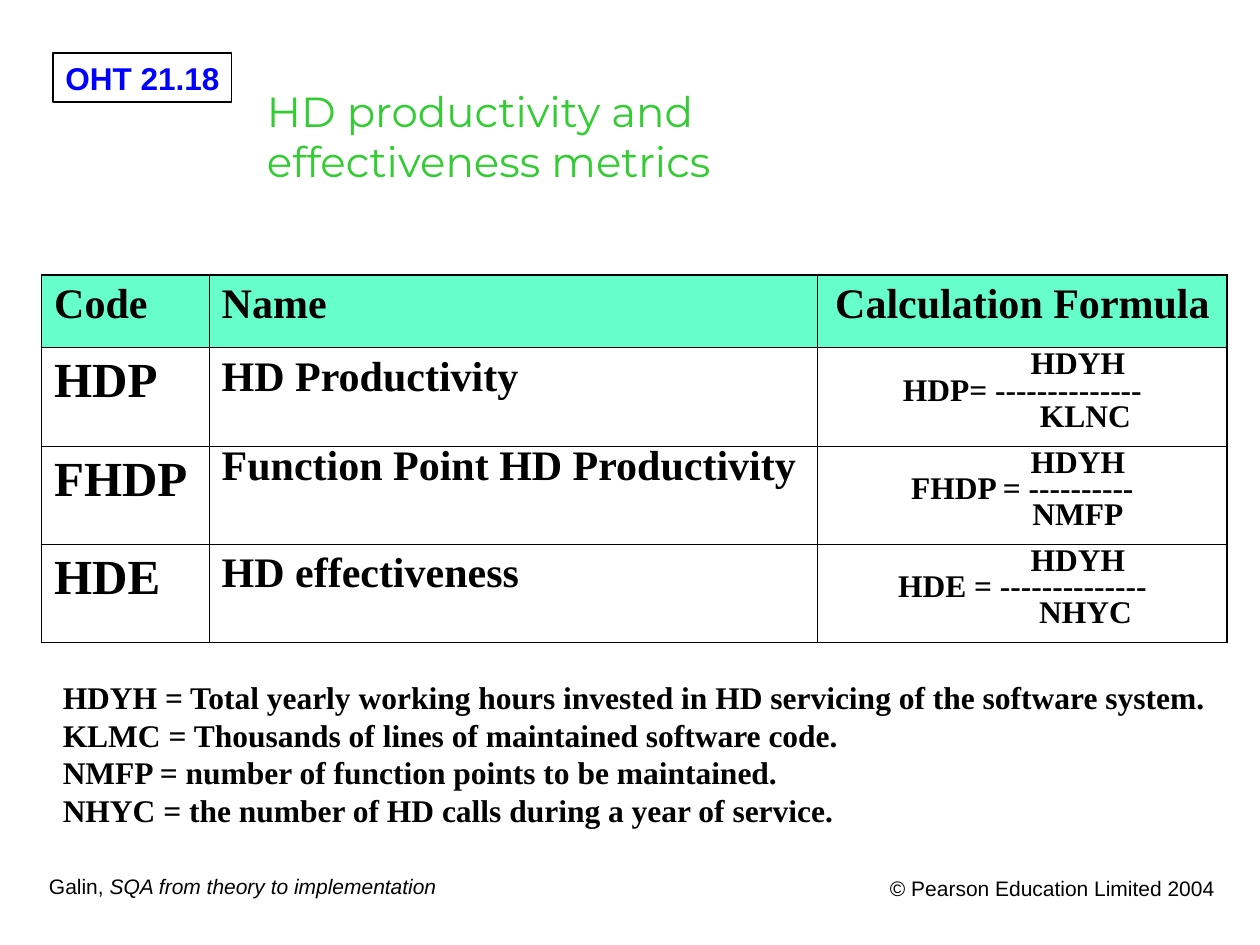
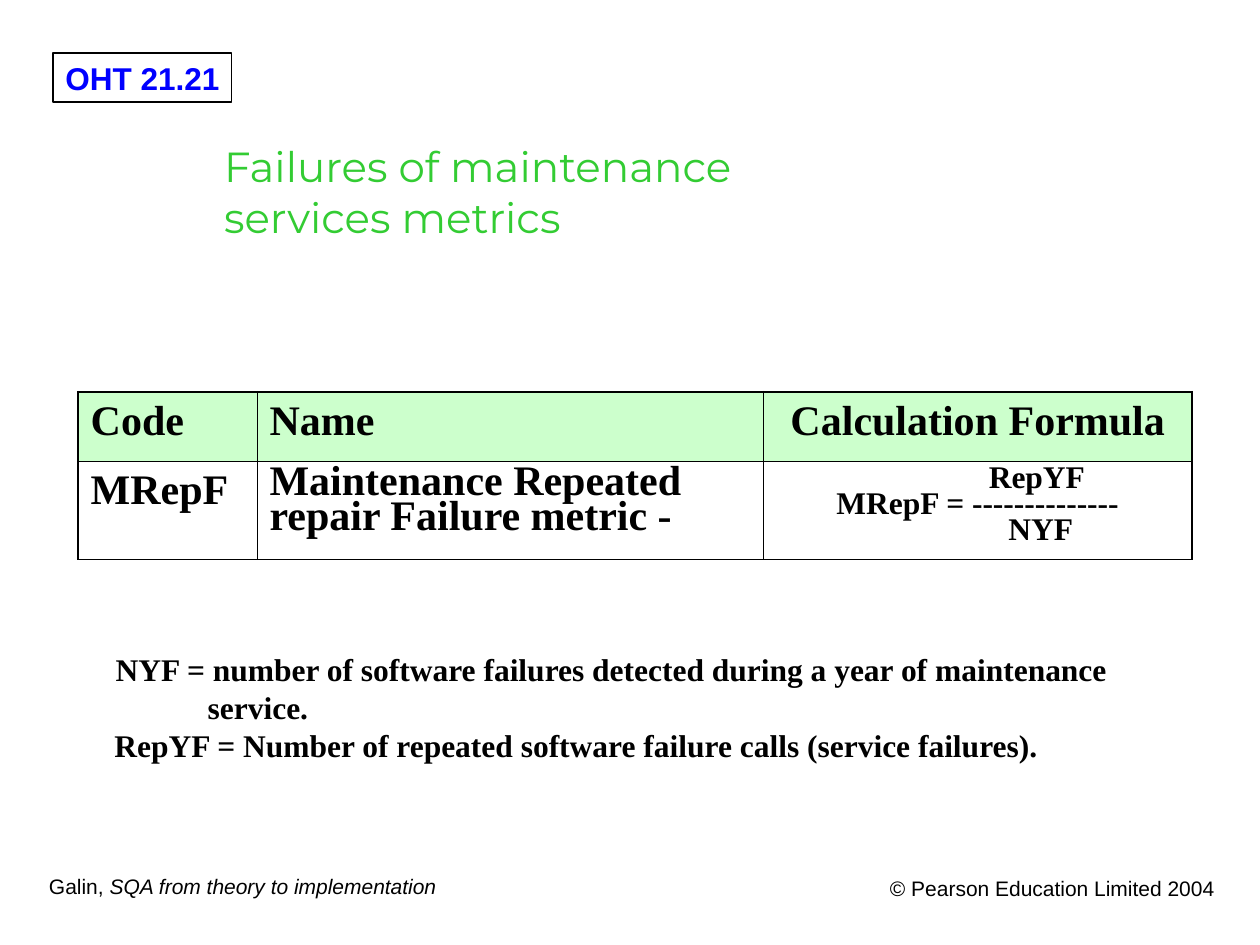
from dataclasses import dataclass

from lxml.etree import SubElement
from pptx import Presentation
from pptx.dml.color import RGBColor as Color
from pptx.enum.shapes import MSO_SHAPE as Shape
from pptx.enum.text import MSO_AUTO_SIZE as AutoSize, MSO_ANCHOR as Anchor, PP_ALIGN as Align
from pptx.oxml.ns import qn
from pptx.util import Inches, Pt


@dataclass(frozen=True)
class Theme:
    ink: str = "000000"
    title: str = "33CC33"
    label: str = "0000FF"
    sans: str = "Arial"
    serif: str = "Times New Roman"
    display: str = "Montserrat"
    heading: int = 24
    code: int = 28
    body: int = 18
    footer: int = 12
    outer_rule: float = 1.08
    inner_rule: float = 0.45
    tight: float = 0.75


THEME = Theme()
HEADINGS = ["Code", "Name", "Calculation Formula"]


def style(para, family, size, color=THEME.ink, bold=False, align=Align.LEFT):
    para.alignment = align
    para.font.name = family
    para.font.size = Pt(size)
    para.font.bold = bold
    para.font.color.rgb = Color.from_string(color)


def indent(para, left, first=0):
    props = para._p.get_or_add_pPr()
    props.set("marL", str(Inches(left)))
    props.set("indent", str(Inches(first)))


def paragraphs(frame, lines):
    """Write the lines into the frame and yield each paragraph."""
    for number, line in enumerate(lines):
        para = frame.add_paragraph() if number else frame.paragraphs[0]
        para.text = line
        yield para


def add_text(page, area, lines, wrap=True, grow=False, **look):
    box = page.shapes.add_textbox(*map(Inches, area))
    frame = box.text_frame
    frame.word_wrap = wrap
    frame.auto_size = AutoSize.SHAPE_TO_FIT_TEXT if grow else AutoSize.NONE
    for para in paragraphs(frame, lines):
        style(para, **look)
    return frame


def add_title(page, area, lines):
    add_text(page, area, lines, wrap=False, family=THEME.display,
             size=THEME.heading, color=THEME.title)


def add_page_furniture(page, number):
    # Numbered label
    label = page.shapes.add_shape(Shape.RECTANGLE, *map(Inches, (0.42, 0.42, 1.42, 0.39)))
    label.shadow.inherit = False
    label.fill.background()
    label.line.color.rgb = Color.from_string(THEME.ink)
    label.line.width = Pt(0.75)
    frame = label.text_frame
    frame.word_wrap = False
    frame.vertical_anchor = Anchor.TOP
    frame.text = f"OHT {number}"
    style(frame.paragraphs[0], THEME.sans, THEME.body, THEME.label, True, Align.CENTER)

    # Footers
    source = add_text(page, (0.29, 6.88, 3.28, 0.3), ["Galin, "], wrap=False, grow=True,
                      family=THEME.sans, size=THEME.footer)
    span = source.paragraphs[0].add_run()
    span.text = "SQA from theory to implementation"
    span.font.italic = True
    add_text(page, (6.64, 6.9, 3.1, 0.39), ["© Pearson Education Limited 2004"],
             family=THEME.sans, size=THEME.footer, align=Align.RIGHT)


def set_borders(cell, outer):
    """Rule all four sides, heavier on the sides named in outer."""
    props = cell._tc.get_or_add_tcPr()
    for place, side in enumerate("LRTB"):
        width = THEME.outer_rule if side in outer else THEME.inner_rule
        line = SubElement(props, qn(f"a:ln{side}"), w=str(Pt(width)))
        fill = SubElement(line, qn("a:solidFill"))
        SubElement(fill, qn("a:srgbClr"), val=THEME.ink)
        props.insert(place, line)


def fill_cell(cell, lines, size, align=Align.LEFT, spacing=None):
    made = list(paragraphs(cell.text_frame, lines))
    for para in made:
        style(para, THEME.serif, size, bold=True, align=align)
        para.line_spacing = spacing
    return made


def add_formula(cell, top, middle, bottom, shifts):
    made = fill_cell(cell, [top, middle, bottom], THEME.body, Align.CENTER, THEME.tight)
    for para, shift in zip(made[::2], shifts):
        indent(para, shift)


def add_metrics_table(page, left, top, widths, heights, header_fill, metrics,
                      code_size, tight_names):
    table = page.shapes.add_table(
        len(heights), len(widths), Inches(left), Inches(top),
        Inches(sum(widths)), Inches(sum(heights))).table
    table.first_row = table.horz_banding = False
    for column, width in zip(table.columns, widths):
        column.width = Inches(width)
    for row, height in zip(table.rows, heights):
        row.height = Inches(height)

    # Header and metric rows
    for column, heading in enumerate(HEADINGS):
        align = Align.CENTER if column == 2 else Align.LEFT
        fill_cell(table.cell(0, column), [heading], THEME.heading, align)
    for row, (code, name, formula) in enumerate(metrics, 1):
        fill_cell(table.cell(row, 0), [code], code_size)
        fill_cell(table.cell(row, 1), [name], THEME.heading,
                  spacing=THEME.tight if code in tight_names else None)
        add_formula(table.cell(row, 2), *formula)

    # Fills and rules
    last_row, last_column = len(heights) - 1, len(widths) - 1
    for row in range(len(heights)):
        for column in range(len(widths)):
            cell = table.cell(row, column)
            if row == 0:
                cell.fill.solid()
                cell.fill.fore_color.rgb = Color.from_string(header_fill)
            else:
                cell.fill.background()
            edges = {"L": column == 0, "R": column == last_column,
                     "T": row == 0, "B": row == last_row}
            set_borders(cell, [side for side, on_edge in edges.items() if on_edge])


def add_notes(page, area, lines, indents=()):
    frame = add_text(page, area, lines, grow=True,
                     family=THEME.serif, size=THEME.body, bold=True)
    for para, (left, first) in zip(frame.paragraphs, indents):
        indent(para, left, first)


def build_productivity(page):
    add_page_furniture(page, "21.18")
    add_metrics_table(
        page, 0.33, 2.18, [1.33, 4.83, 3.25], [0.58] + [0.78] * 3, "66FFCC",
        [("HDP", "HD Productivity",
          ("HDYH", "HDP= --------------", "KLNC", (0.88, 1))),
         ("FHDP", "Function Point HD Productivity",
          ("HDYH", "FHDP = ----------", "NMFP", (0.88, 0.88))),
         ("HDE", "HD effectiveness",
          ("HDYH", "HDE = --------------", "NHYC", (0.88, 1)))],
        code_size=THEME.code, tight_names=["FHDP"])
    add_notes(page, (0.4, 5.33, 9.6, 1.3), [
        "HDYH = Total yearly working hours invested in HD servicing of the software system.",
        "KLMC = Thousands of lines of maintained software code.",
        "NMFP = number of function points to be maintained.",
        "NHYC = the number of HD calls during a year of service."])
    add_title(page, (2.02, 0.63, 5.93, 1.23),
              ["HD productivity and", "effectiveness metrics"])


def build_failures(page):
    add_page_furniture(page, "21.21")
    add_metrics_table(
        page, 0.62, 3.11, [1.42, 4.02, 3.4], [0.55, 0.78], "CCFFCC",
        [("MRepF", "Maintenance Repeated repair Failure metric -",
          ("RepYF", "MRepF = --------------", "NYF", (0.94, 1)))],
        code_size=THEME.heading, tight_names=["MRepF"])
    add_notes(page, (0.12, 5.11, 9.42, 1), [
        "NYF = number of software failures detected during a year of maintenance\vservice.",
        "RepYF = Number of repeated software failure calls (service failures)."],
        indents=[(1.43, -0.73), (0.69, 0)])
    add_title(page, (1.68, 1.07, 6.6, 1.26),
              ["Failures of maintenance", "services metrics"])


def main():
    deck = Presentation()
    deck.slide_width, deck.slide_height = Inches(10), Inches(7.5)
    blank = deck.slide_layouts[6]
    for build in (build_productivity, build_failures):
        build(deck.slides.add_slide(blank))
    deck.save("out.pptx")


if __name__ == "__main__":
    main()
